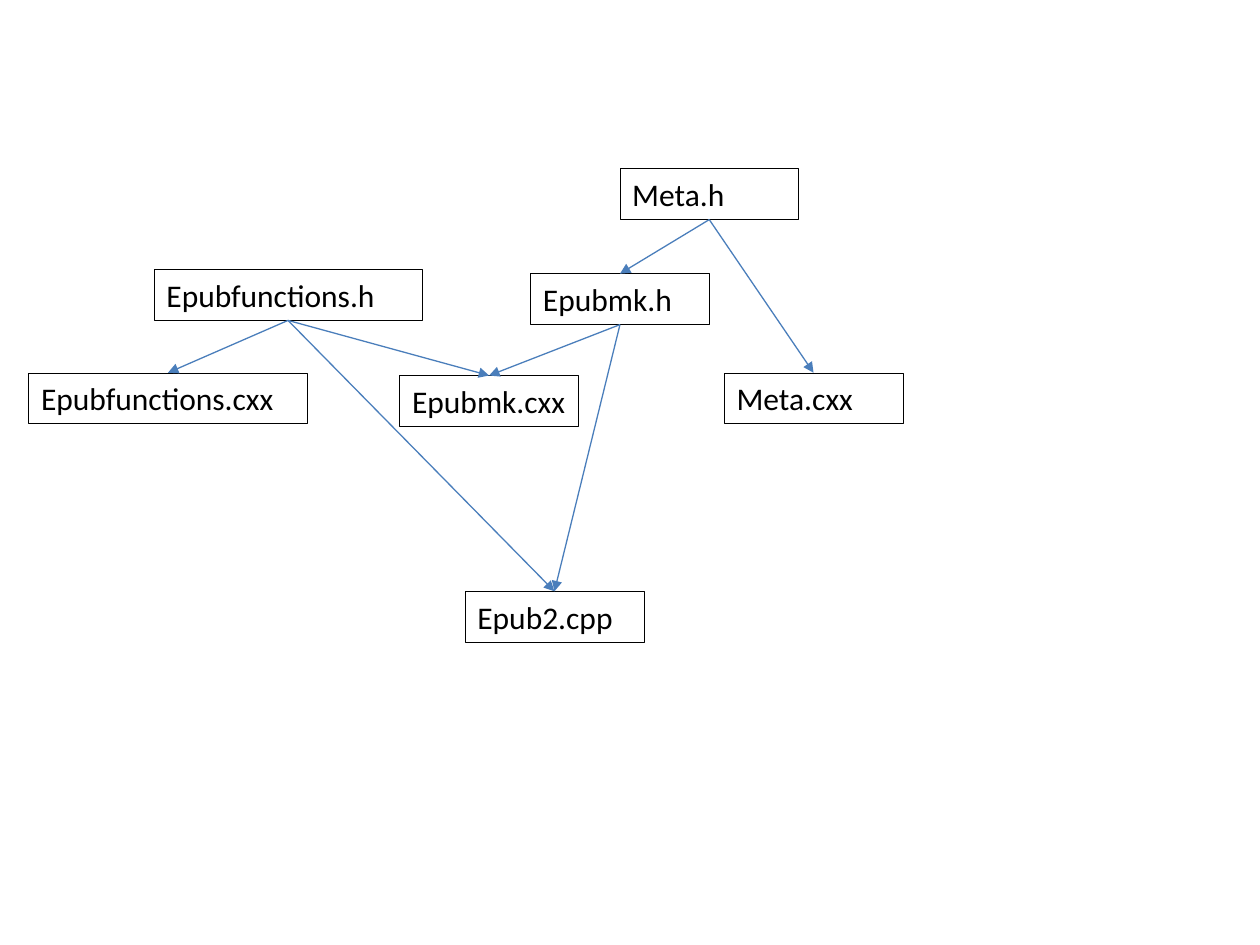
import dataclasses

import pptx
import pptx.dml.color
import pptx.enum.shapes
import pptx.enum.text
import pptx.oxml
import pptx.oxml.ns
import pptx.util

Pt = pptx.util.Pt
RGB = pptx.dml.color.RGBColor
BOTTOM, TOP = 2, 0


@dataclasses.dataclass(frozen=True)
class Theme:
    font: str = "Calibri"
    text_size: float = 18
    text: RGB = RGB(0x00, 0x00, 0x00)
    fill: RGB = RGB(0xFF, 0xFF, 0xFF)
    border: RGB = RGB(0x00, 0x00, 0x00)
    border_width: float = 0.25
    arrow: RGB = RGB(0x4A, 0x7E, 0xBB)
    arrow_width: float = 0.75


THEME = Theme()
BOX_HEIGHT = 29.1
BOX_WIDTH = 102.2

# file name: left, top, width
FILES = {
    "Epub2.cpp": (265.7, 337.9, BOX_WIDTH),
    "Epubmk.h": (303.2, 156.4, BOX_WIDTH),
    "Meta.h": (354.2, 96.4, BOX_WIDTH),
    "Epubfunctions.cxx": (16.4, 213, 159.2),
    "Epubfunctions.h": (88, 154, 153.2),
    "Epubmk.cxx": (228.4, 214.6, BOX_WIDTH),
    "Meta.cxx": (413.8, 213, BOX_WIDTH),
}

# header: files that include it
INCLUDED_BY = {
    "Meta.h": ["Epubmk.h", "Meta.cxx"],
    "Epubmk.h": ["Epubmk.cxx", "Epub2.cpp"],
    "Epubfunctions.h": ["Epubfunctions.cxx", "Epub2.cpp", "Epubmk.cxx"],
}


def add_file_box(slide, name, left, top, width):
    sp = slide.shapes.add_textbox(Pt(left), Pt(top), Pt(width), Pt(BOX_HEIGHT))
    sp.fill.solid()
    sp.fill.fore_color.rgb = THEME.fill
    sp.line.color.rgb = THEME.border
    sp.line.width = Pt(THEME.border_width)
    tf = sp.text_frame
    tf.word_wrap = True
    tf.auto_size = pptx.enum.text.MSO_AUTO_SIZE.SHAPE_TO_FIT_TEXT
    tf.text = name
    font = tf.paragraphs[0].runs[0].font
    font.name = THEME.font
    font.size = Pt(THEME.text_size)
    font.color.rgb = THEME.text
    return sp


def add_arrow(slide, source, target):
    """Join the bottom of source to the top of target."""
    cxn = slide.shapes.add_connector(
        pptx.enum.shapes.MSO_CONNECTOR.STRAIGHT, 0, 0, 0, 0)
    cxn.begin_connect(source, BOTTOM)
    cxn.end_connect(target, TOP)
    cxn.line.color.rgb = THEME.arrow
    cxn.line.width = Pt(THEME.arrow_width)
    qn = pptx.oxml.ns.qn
    sp_pr = cxn._element.spPr
    head = sp_pr.find(qn("a:ln")).makeelement(
        qn("a:tailEnd"), {"type": "triangle"})
    sp_pr.find(qn("a:ln")).append(head)
    sp_pr.append(sp_pr.makeelement(qn("a:effectLst"), {}))


def main():
    prs = pptx.Presentation()
    prs.slide_width, prs.slide_height = Pt(720), Pt(540)
    slide = prs.slides.add_slide(prs.slide_layouts[6])
    boxes = {name: add_file_box(slide, name, *place)
             for name, place in FILES.items()}
    for header, users in INCLUDED_BY.items():
        for user in users:
            add_arrow(slide, boxes[header], boxes[user])
    prs.save("out.pptx")


if __name__ == "__main__":
    main()
